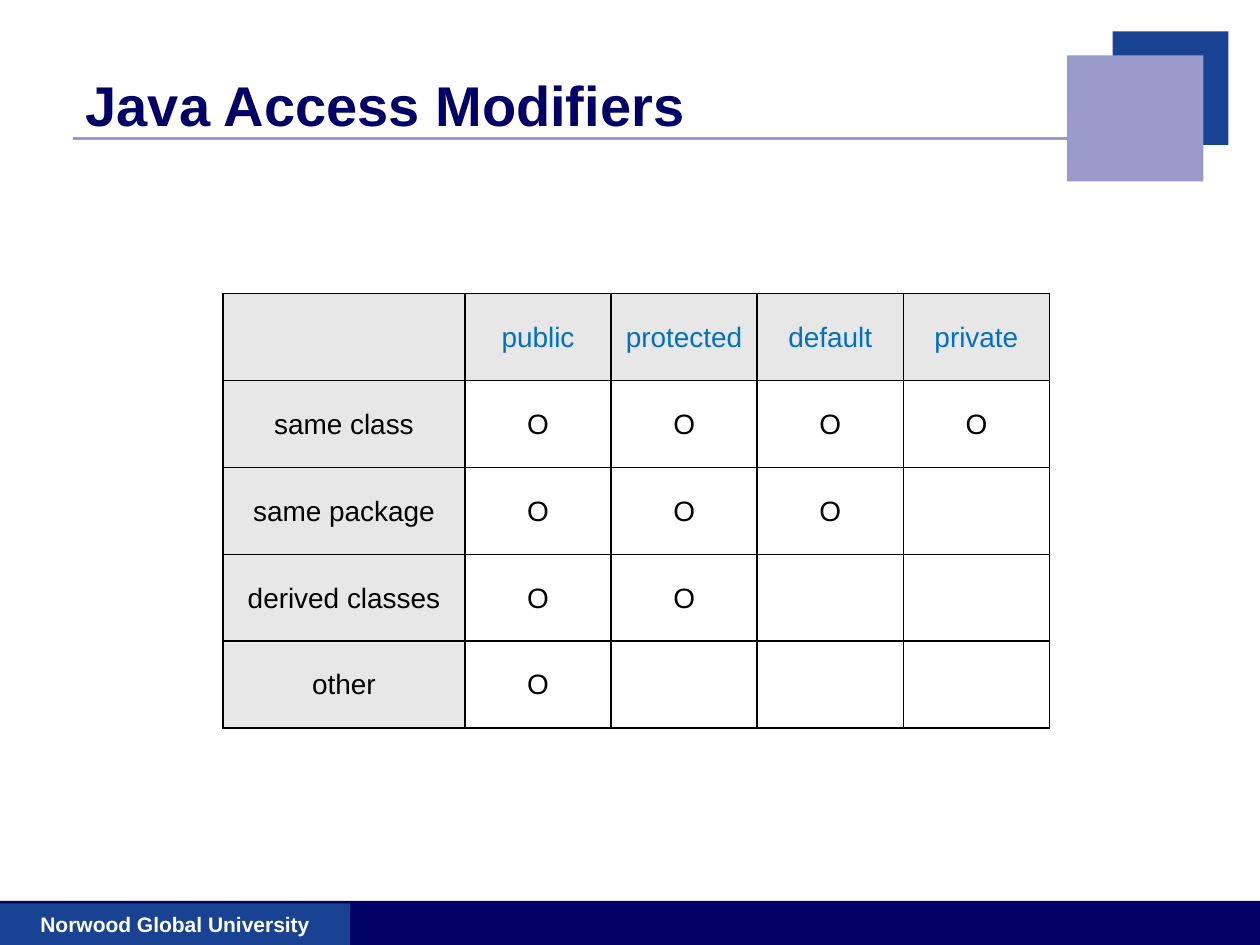
from dataclasses import dataclass

from lxml import etree
from pptx import Presentation
from pptx import util as u
from pptx.dml.color import RGBColor
from pptx.enum import shapes, text
from pptx.oxml import ns


@dataclass(frozen=True)
class Theme:
    """Colours, font and type sizes of the deck."""
    navy: str = "000066"
    blue: str = "194293"
    lilac: str = "9999CC"
    keyword: str = "0070C0"
    ink: str = "000000"
    paper: str = "FFFFFF"
    shade: str = "E7E7E7"
    font: str = "Arial"
    title: int = 32
    body: int = 16
    footer: int = 12


class SlideBuilder:
    """Places styled elements on one page, measured in grid columns and rows."""
    COLUMNS, ROWS = 10, 7.5

    def __init__(self, deck, theme):
        self.theme = theme
        self.column = deck.slide_width / self.COLUMNS
        self.row = deck.slide_height / self.ROWS
        self.page = deck.slides.add_slide(deck.slide_layouts[5])

    def across(self, columns):
        return u.Emu(round(columns * self.column))

    def down(self, rows):
        return u.Emu(round(rows * self.row))

    def area(self, left, top, width, height):
        return self.across(left), self.down(top), self.across(width), self.down(height)

    def set_text(self, frame, words, size, color, align, bold=False):
        frame.text = words
        para = frame.paragraphs[0]
        para.alignment = align
        font = para.font
        font.name, font.size, font.bold = self.theme.font, u.Pt(size), bold
        font.color.rgb = RGBColor.from_string(color)

    def title(self, words, *area):
        box = self.page.shapes.title
        box.left, box.top, box.width, box.height = self.area(*area)
        frame = box.text_frame
        frame.word_wrap = True
        frame.auto_size = text.MSO_AUTO_SIZE.NONE
        frame.vertical_anchor = text.MSO_ANCHOR.BOTTOM
        self.set_text(frame, words, self.theme.title, self.theme.navy, text.PP_ALIGN.LEFT, True)

    def block(self, color, *area):
        box = self.page.shapes.add_shape(shapes.MSO_SHAPE.RECTANGLE, *self.area(*area))
        box.shadow.inherit = False
        box.fill.solid()
        box.fill.fore_color.rgb = RGBColor.from_string(color)
        box.line.fill.background()
        return box

    def footer(self, words, *area):
        frame = self.block(self.theme.blue, *area).text_frame
        frame.vertical_anchor = text.MSO_ANCHOR.MIDDLE
        self.set_text(frame, words, self.theme.footer, self.theme.paper, text.PP_ALIGN.CENTER, True)

    def rule(self, left, right, top):
        line = self.page.shapes.add_connector(
            shapes.MSO_CONNECTOR.STRAIGHT,
            self.across(left), self.down(top), self.across(right), self.down(top))
        line.line.color.rgb = RGBColor.from_string(self.theme.lilac)
        line.line.width = u.Pt(2)
        etree.SubElement(line._element.spPr, ns.qn("a:effectLst"))

    def border(self, cell):
        properties = cell._tc.get_or_add_tcPr()
        for side in ("lnL", "lnR", "lnT", "lnB"):
            edge = etree.SubElement(properties, ns.qn(f"a:{side}"), w=str(u.Pt(1)))
            fill = etree.SubElement(edge, ns.qn("a:solidFill"))
            etree.SubElement(fill, ns.qn("a:srgbClr"), val=self.theme.ink)

    def cell(self, cell, words, color, fill):
        self.border(cell)
        cell.fill.solid()
        cell.fill.fore_color.rgb = RGBColor.from_string(fill)
        cell.vertical_anchor = text.MSO_ANCHOR.MIDDLE
        cell.margin_left = cell.margin_right = cell.margin_top = u.Inches(0.01)
        cell.margin_bottom = 0
        self.set_text(cell.text_frame, words, self.theme.body, color, text.PP_ALIGN.CENTER)

    def table(self, records, left, top, widths, height):
        area = self.area(left, top, sum(widths), height * len(records))
        table = self.page.shapes.add_table(len(records), len(widths), *area).table
        table.first_row = table.horz_banding = False
        for column, width in zip(table.columns, widths):
            column.width = self.across(width)
        for r, record in enumerate(records):
            table.rows[r].height = self.down(height)
            for c, words in enumerate(record):
                color = self.theme.keyword if r == 0 else self.theme.ink
                fill = self.theme.shade if r == 0 or c == 0 else self.theme.paper
                self.cell(table.cell(r, c), words, color, fill)


def main():
    deck = Presentation()
    deck.slide_width, deck.slide_height = u.Inches(10), u.Inches(7.5)
    theme = Theme()
    slide = SlideBuilder(deck, theme)

    slide.block(theme.navy, 0, 7.15, 10, 0.35)
    slide.rule(0.58, 8.5, 1.1)
    slide.block(theme.blue, 8.83, 0.25, 0.92, 0.9)
    slide.block(theme.lilac, 8.47, 0.44, 1.08, 1)
    slide.footer("Norwood Global University", 0, 7.17, 2.78, 0.33)
    slide.title("Java Access Modifiers", 0.58, 0.31, 7.67, 0.83)

    modifiers = ["public", "protected", "default", "private"]
    access = {"same class": 4, "same package": 3, "derived classes": 2, "other": 1}
    records = [["", *modifiers]]
    for scope, allowed in access.items():
        marks = ["O"] * allowed + [""] * (len(modifiers) - allowed)
        records.append([scope, *marks])
    slide.table(records, 1.77, 2.33, [1.92] + [1.16] * len(modifiers), 0.69)

    deck.save("out.pptx")


if __name__ == "__main__":
    main()
